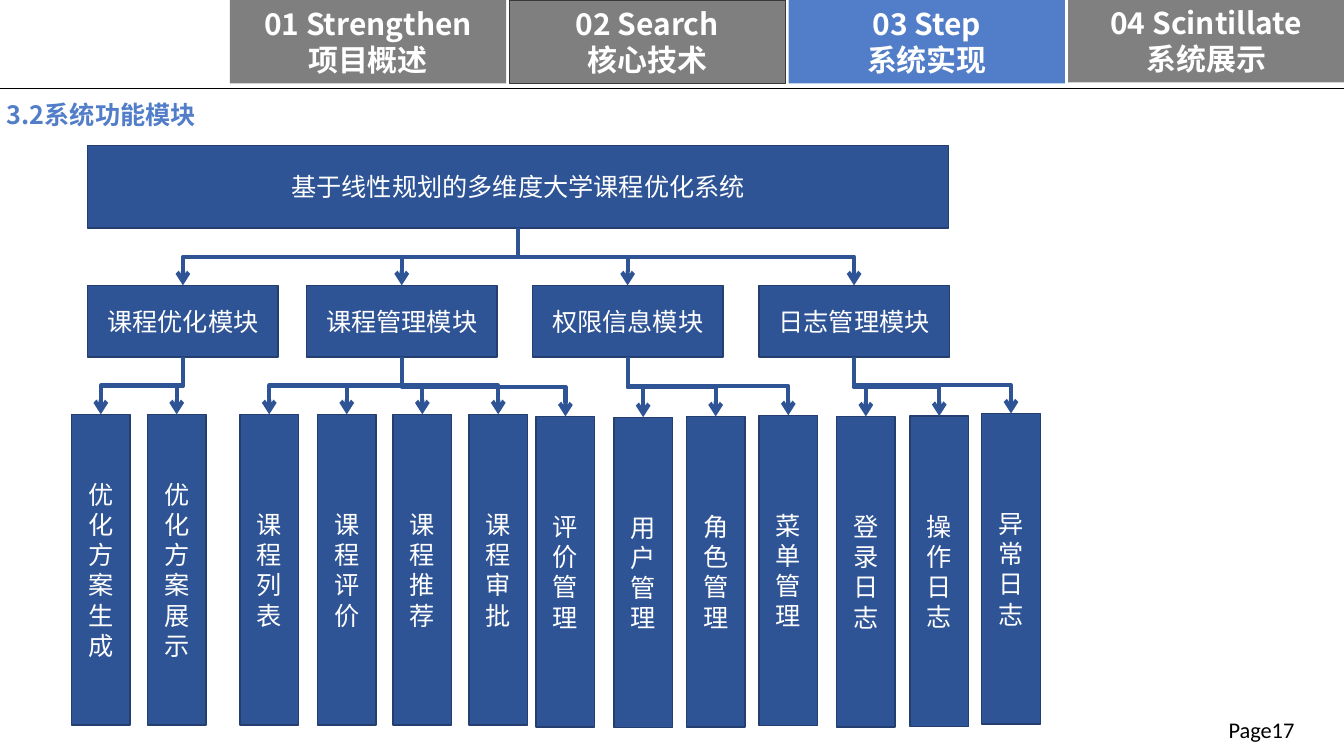
import pptx
import pptx.dml.color
import pptx.enum.shapes
import pptx.enum.text
import pptx.oxml.ns
import pptx.util
from lxml import etree

Pt = pptx.util.Pt
ALIGN = pptx.enum.text.PP_ALIGN
ANCHOR = pptx.enum.text.MSO_ANCHOR
CONNECTOR = pptx.enum.shapes.MSO_CONNECTOR
qn = pptx.oxml.ns.qn

COLORS = {
    "tab": "7F7F7F", "last_tab": "808080", "active": "517DC9", "tab_edge": "3B3838",
    "box": "2F5496", "box_edge": "233E6F", "white": "FFFFFF", "black": "000000",
}
HEADING_FONT = "Noto Sans CJK SC"
BODY_FONT = "Calibri"

# Navigation tabs: text, fill, edge, top
TABS = [
    ("01 Strengthen\n项目概述", "tab", None, 0),
    ("02 Search\n核心技术", "tab", "tab_edge", 0),
    ("03 Step\n系统实现", "active", None, 0),
    ("04 Scintillate\n系统展示", "last_tab", None, -0.7),
]

# Modules: name, left, functions as (name, left, top)
MODULES = [
    ("课程优化模块", 62.6, [("优化方案生成", 51.1, 296), ("优化方案展示", 105.3, 296)]),
    ("课程管理模块", 218.9, [
        ("课程列表", 171.4, 296), ("课程评价", 226.8, 296), ("课程推荐", 280.8, 296),
        ("课程审批", 335, 296), ("评价管理", 383, 297.4)]),
    ("权限信息模块", 380.3, [
        ("用户管理", 438.5, 298), ("角色管理", 490.3, 297.4), ("菜单管理", 542.2, 296.6)]),
    ("日志管理模块", 542, [
        ("登录日志", 597.6, 297.4), ("操作日志", 650, 297.2), ("异常日志", 701.3, 295.3)]),
]


def rgb(name):
    return pptx.dml.color.RGBColor.from_string(COLORS[name])


def write(shape, text, size=18, font=BODY_FONT, color="white", bold=False,
          align=ALIGN.CENTER, anchor=ANCHOR.MIDDLE, spacing=None):
    """Fill a shape with text, one paragraph per line."""
    frame = shape.text_frame
    frame.word_wrap = True
    frame.vertical_anchor = anchor
    frame.text = text
    for paragraph in frame.paragraphs:
        paragraph.alignment = align
        if spacing:
            paragraph.line_spacing = Pt(spacing)
        for run in paragraph.runs:
            run.font.size = Pt(size)
            run.font.name = font
            run.font.bold = bold
            run.font.color.rgb = rgb(color)
            east_asian = etree.SubElement(run.font._element, qn("a:ea"))
            east_asian.set("typeface", font)


def add_label(slide, text, left, top, width, height, **text_format):
    label = slide.shapes.add_textbox(Pt(left), Pt(top), Pt(width), Pt(height))
    write(label, text, anchor=ANCHOR.TOP, **text_format)


def add_box(slide, text, left, top, width, height, fill="box", edge="box_edge", **text_format):
    box = slide.shapes.add_shape(
        pptx.enum.shapes.MSO_SHAPE.RECTANGLE, Pt(left), Pt(top), Pt(width), Pt(height))
    box.shadow.inherit = False
    box.fill.solid()
    box.fill.fore_color.rgb = rgb(fill)
    if edge:
        box.line.color.rgb = rgb(edge)
        box.line.width = Pt(1)
    else:
        box.line.fill.background()
    write(box, text, **text_format)
    return box


def add_line(slide, kind, start, end, color, width):
    line = slide.shapes.add_connector(kind, Pt(start[0]), Pt(start[1]), Pt(end[0]), Pt(end[1]))
    line.line.color.rgb = rgb(color)
    line.line.width = Pt(width)
    etree.SubElement(line._element.spPr, qn("a:effectLst"))
    return line


def add_branch(slide, parent, child):
    """Elbow arrow from the bottom of the parent to the top of the child."""
    branch = add_line(slide, CONNECTOR.ELBOW, (0, 0), (1, 1), "box", 3)
    branch.begin_connect(parent, 2)
    branch.end_connect(child, 0)
    arrowhead = etree.SubElement(branch.line._get_or_add_ln(), qn("a:tailEnd"))
    arrowhead.set("type", "arrow")

    # A quarter turn makes the elbow leave downwards
    run, drop = branch.end_x - branch.begin_x, branch.end_y - branch.begin_y
    center_x = (branch.begin_x + branch.end_x) // 2
    center_y = (branch.begin_y + branch.end_y) // 2
    branch.left, branch.top = center_x - drop // 2, center_y - abs(run) // 2
    branch.width, branch.height = drop, abs(run)
    transform = branch._element.spPr.find(qn("a:xfrm"))
    transform.attrib.pop("flipH", None)
    transform.set("rot", "5400000")
    transform.set("flipV", "1" if run > 0 else "0")


def add_header(slide):
    add_line(slide, CONNECTOR.STRAIGHT, (0, 63.4), (960, 63.4), "black", 0.5)
    for index, (text, fill, edge, top) in enumerate(TABS):
        add_box(slide, text, 164.2 + 199.6 * index, top, 197.3, 59.5, fill=fill, edge=edge,
                size=21.4, font=HEADING_FONT, bold=True, spacing=25.8)
    add_label(slide, "3.2系统功能模块", -2.2, 67, 336, 28.8, font=HEADING_FONT,
              color="active", bold=True, align=ALIGN.LEFT, spacing=22)


def add_module_tree(slide):
    root = add_box(slide, "基于线性规划的多维度大学课程优化系统", 62.6, 103.9, 615, 59)
    for name, left, functions in MODULES:
        module = add_box(slide, name, left, 203.8, 136.1, 51.1)
        add_branch(slide, root, module)
        for function, function_left, function_top in functions:
            leaf = add_box(slide, function, function_left, function_top, 41.8, 221.8)
            add_branch(slide, module, leaf)


def main():
    presentation = pptx.Presentation()
    presentation.slide_width, presentation.slide_height = Pt(960), Pt(540)
    slide = presentation.slides.add_slide(presentation.slide_layouts[6])
    add_header(slide)
    add_module_tree(slide)
    # Page number
    add_label(slide, "Page17", 867.6, 508.3, 64.1, 26.6, size=16, color="black", align=ALIGN.RIGHT)
    presentation.save("out.pptx")


if __name__ == "__main__":
    main()
